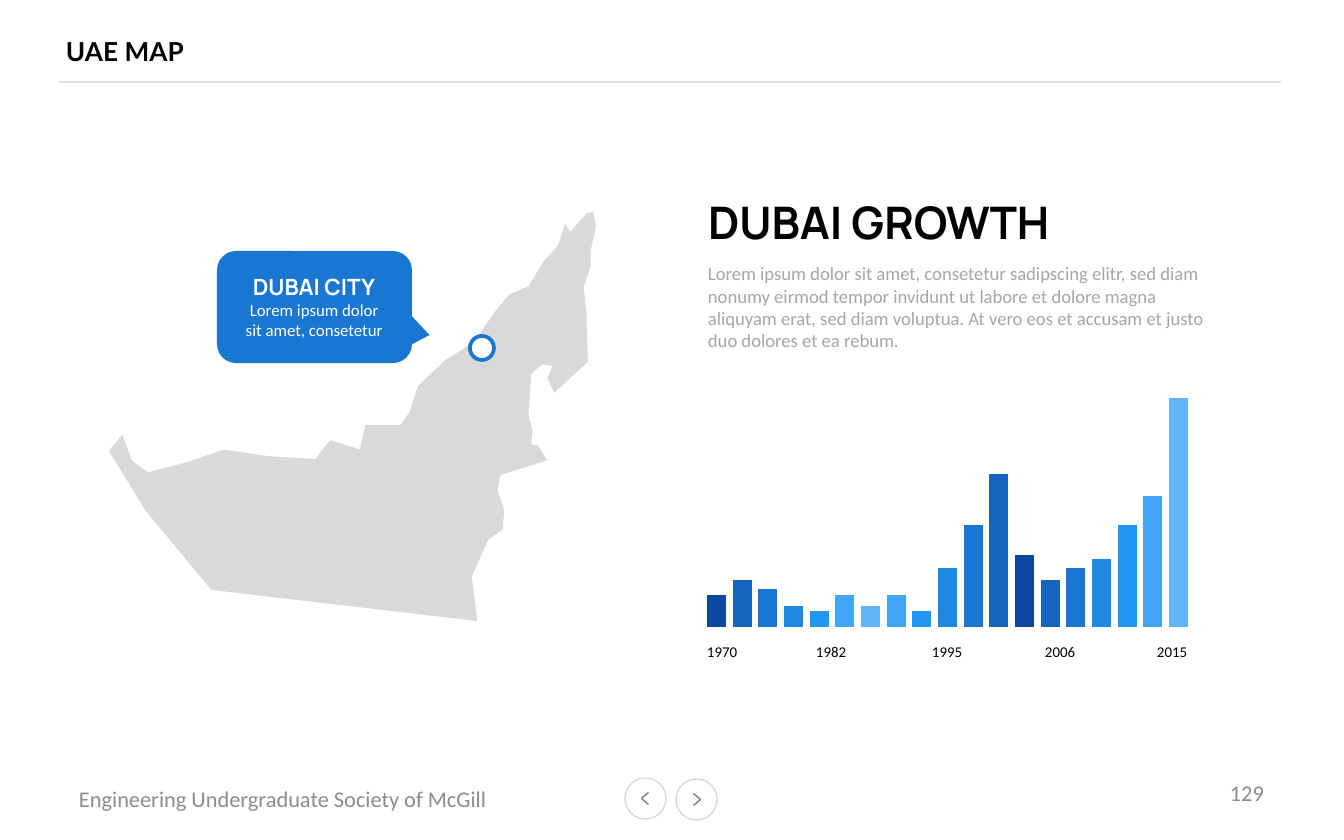
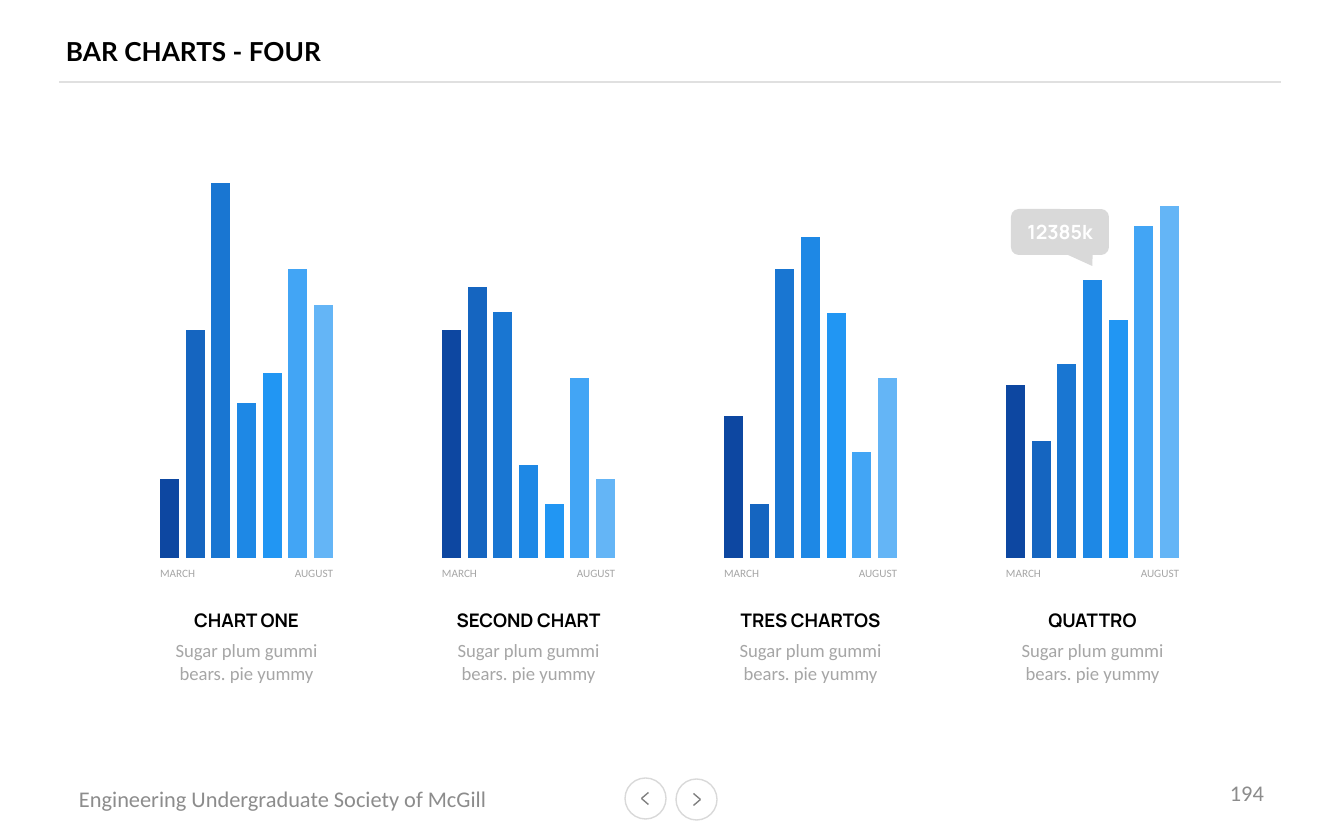
from pptx import Presentation
from pptx.dml.color import RGBColor
from pptx.enum.shapes import MSO_CONNECTOR as Line, MSO_SHAPE as Shape
from pptx.enum.text import MSO_ANCHOR as Anchor, PP_ALIGN as Align
from pptx.oxml.ns import qn
from pptx.util import Pt
from lxml import etree

PX = 914400 / 134.4

BLACK = RGBColor(0x00, 0x00, 0x00)
WHITE = RGBColor(0xFF, 0xFF, 0xFF)
RULE = RGBColor(0xE0, 0xE0, 0xE0)
PALE = RGBColor(0xD9, 0xD9, 0xD9)
SOFT = RGBColor(0xA6, 0xA6, 0xA6)
MUTED = RGBColor(0x8C, 0x8C, 0x8C)
ARROW = RGBColor(0x80, 0x80, 0x80)
BLUES = [RGBColor.from_string(code) for code in
         ("0D47A1", "1565C0", "1976D2", "1E88E5", "2196F3", "42A5F5", "64B5F6")]
ACCENT = BLUES[2]

# Text styles: face, size, colour, bold
TITLE = ("Lato", 14, BLACK, True)
FOOT = ("Calibri", 12, MUTED, False)
HEAD = ("Manrope", 24, BLACK, True)
BODY = ("Calibri", 10, SOFT, False)
YEAR = ("Calibri", 8, BLACK, False)
CITY = ("Manrope", 12, WHITE, True)
NOTE = ("Calibri", 9, WHITE, False)
MONTH = ("Calibri", 6, SOFT, False)
NAME = ("Manrope", 10, BLACK, True)
VALUE = ("Manrope", 10.5, WHITE, True)

INSET = (13, 7, 13, 7)
BAR = 19

GROWTH = [32, 47, 38, 21, 16, 32, 21, 32, 16, 59, 102, 153, 72, 47, 59, 68, 102, 131, 229]
YEARS = {"1970": 694, "1982": 803, "1995": 919, "2006": 1032, "2015": 1144}
CHARTS = {
    "CHART ONE": [79, 228, 375, 155, 185, 289, 253],
    "SECOND CHART": [228, 271, 246, 93, 54, 180, 79],
    "TRES CHARTOS": [142, 54, 289, 321, 245, 106, 180],
    "QUATTRO": [173, 117, 194, 278, 238, 332, 352],
}

# Corners of the country on its own grid
BORDER = [
    (354, 462), (350, 429), (362, 402), (373, 394), (374, 380), (369, 365), (371, 354),
    (396, 346), (406, 343), (399, 332), (394, 331), (395, 321), (392, 310), (394, 279),
    (402, 272), (410, 273), (406, 282), (411, 293), (436, 270), (435, 236), (433, 214),
    (438, 200), (438, 188), (442, 170), (440, 159), (435, 160), (423, 174), (419, 168),
    (414, 184), (403, 196), (392, 214), (378, 220), (367, 233), (352, 255), (330, 269),
    (310, 288), (304, 307), (297, 317), (271, 317), (267, 335), (245, 328), (234, 342),
    (200, 340), (166, 335), (140, 344), (110, 352), (98, 343), (91, 324), (81, 336),
    (108, 380), (157, 439),
]


def emu(*sizes):
    return [round(size * PX) for size in sizes]


def write(frame, lines, align=Align.LEFT, anchor=Anchor.TOP, inset=INSET, wrap=True):
    """Fill a text frame with (words, style) paragraphs."""
    frame.word_wrap = wrap
    frame.vertical_anchor = anchor
    (frame.margin_left, frame.margin_top,
     frame.margin_right, frame.margin_bottom) = emu(*inset)
    for i, (words, (face, size, color, bold)) in enumerate(lines):
        para = frame.add_paragraph() if i else frame.paragraphs[0]
        para.text = words
        para.alignment = align
        font = para.font
        font.name, font.size, font.bold = face, Pt(size), bold
        font.color.rgb = color


def text(slide, box, words, style, **layout):
    frame = slide.shapes.add_textbox(*emu(*box)).text_frame
    write(frame, [(words, style)], **layout)


def paint(shape, fill, edge=None, width=0.75):
    shape.shadow.inherit = False
    shape.fill.solid()
    shape.fill.fore_color.rgb = fill
    if edge is None:
        shape.line.fill.background()
    else:
        shape.line.color.rgb = edge
        shape.line.width = Pt(width)
    return shape


def draw(slide, kind, box, fill, edge=None, width=0.75):
    return paint(slide.shapes.add_shape(kind, *emu(*box)), fill, edge, width)


def rule(slide, start, end, color):
    line = slide.shapes.add_connector(Line.STRAIGHT, *emu(*start, *end))
    line.line.color.rgb = color
    line.line.width = Pt(0.75)
    etree.SubElement(line._element.spPr, qn("a:effectLst"))


def button(slide, left, top, way):
    """Round button whose arrow points left (way -1) or right (way 1)."""
    size = 41
    draw(slide, Shape.OVAL, (left, top, size, size), WHITE, PALE)
    x, y = left + size / 2, top + size / 2
    for rise in (-6, 6):
        rule(slide, (x + 4 * way, y), (x - 3 * way, y + rise), ARROW)


def page(deck, title, number):
    """Add a slide with the shared title, rule and footer."""
    slide = deck.slides.add_slide(deck.slide_layouts[6])
    rule(slide, (1281, 82), (59, 82), RULE)
    text(slide, (66, 22, 896, 58), title, TITLE, anchor=Anchor.MIDDLE, inset=(0, 0, 0, 0))
    text(slide, (66, 779, 456, 40), "Engineering Undergraduate Society of McGill", FOOT,
         anchor=Anchor.MIDDLE)
    button(slide, 625, 778, -1)
    button(slide, 676, 779, 1)
    text(slide, (964, 771, 313, 44), number, FOOT, align=Align.RIGHT, anchor=Anchor.MIDDLE)
    return slide


def bars(slide, left, base, width, heights, fills):
    """Stand evenly spaced bars on a base line."""
    step = (width - BAR) / (len(heights) - 1)
    for i, (high, fill) in enumerate(zip(heights, fills)):
        draw(slide, Shape.FLOWCHART_PROCESS, (left + i * step, base - high, BAR, high), fill)


def country(slide, left, top, width, height):
    xs, ys = zip(*BORDER)
    wide, high = max(xs) - min(xs), max(ys) - min(ys)
    spots = [emu(left + (x - min(xs)) / wide * width, top + (y - min(ys)) / high * height)
             for x, y in BORDER]
    outline = slide.shapes.build_freeform(*spots[0])
    outline.add_line_segments(spots[1:], close=True)
    paint(outline.convert_to_shape(), PALE)


def callout(slide, box, fill, tip):
    """Rounded bubble; tip is its pointer relative to the centre."""
    bubble = draw(slide, Shape.ROUNDED_RECTANGULAR_CALLOUT, box, fill)
    for i, value in enumerate((*tip, 0.17)):
        bubble.adjustments[i] = value
    return bubble


def atlas(slide, left, top):
    country(slide, left, top + 2, 487, 409)
    draw(slide, Shape.OVAL, (left + 361, top + 126, 24, 24), WHITE, ACCENT, 2)
    callout(slide, (left + 108, top + 41, 195, 112), ACCENT, (0.59, 0.25))
    frame = slide.shapes.add_textbox(*emu(left + 120, top + 56, 170, 82)).text_frame
    write(frame, [("DUBAI CITY", CITY), ("Lorem ipsum dolor sit amet, consetetur", NOTE)],
          align=Align.CENTER)


def growth(slide, left, top):
    text(slide, (left, top, 382, 67), "DUBAI GROWTH", HEAD, wrap=False)
    text(slide, (left, top + 67, 523, 103),
         "Lorem ipsum dolor sit amet, consetetur sadipscing elitr, sed diam nonumy eirmod "
         "tempor invidunt ut labore et dolore magna aliquyam erat, sed diam voluptua. At vero "
         "eos et accusam et justo duo dolores et ea rebum.", BODY)
    bars(slide, left + 12, top + 439, 481, GROWTH, BLUES + BLUES[-2::-1] + BLUES[1:])
    for year, x in YEARS.items():
        text(slide, (x, top + 448, 58, 32), year, YEAR, wrap=False)


def panel(slide, left, base, name, heights):
    """Small bar chart with its months, name and caption."""
    width = 173
    bars(slide, left, base, width, heights, BLUES)
    text(slide, (left, base + 8, 77, 20), "MARCH", MONTH, inset=(0, 0, 13, 7))
    text(slide, (left + width - 77, base + 8, 77, 20), "AUGUST", MONTH,
         align=Align.RIGHT, inset=(0, 0, 0, 7))
    text(slide, (left, base + 44, width, 36), name, NAME, align=Align.CENTER)
    text(slide, (left, base + 74, width, 59), "Sugar plum gummi bears. pie yummy", BODY,
         align=Align.CENTER, inset=(0, 7, 0, 7))


def main():
    deck = Presentation()
    deck.slide_width, deck.slide_height = emu(1344, 840)

    slide = page(deck, "UAE MAP", "129")
    atlas(slide, 109, 210)
    growth(slide, 695, 188)

    slide = page(deck, "BAR CHARTS - FOUR", "194")
    for i, (name, heights) in enumerate(CHARTS.items()):
        panel(slide, 160 + 282 * i, 558, name, heights)
    bubble = callout(slide, (1011, 209, 98, 46), PALE, (0.33, 0.74))
    write(bubble.text_frame, [("12385k", VALUE)], align=Align.CENTER, anchor=Anchor.MIDDLE)

    deck.save("out.pptx")


if __name__ == "__main__":
    main()
